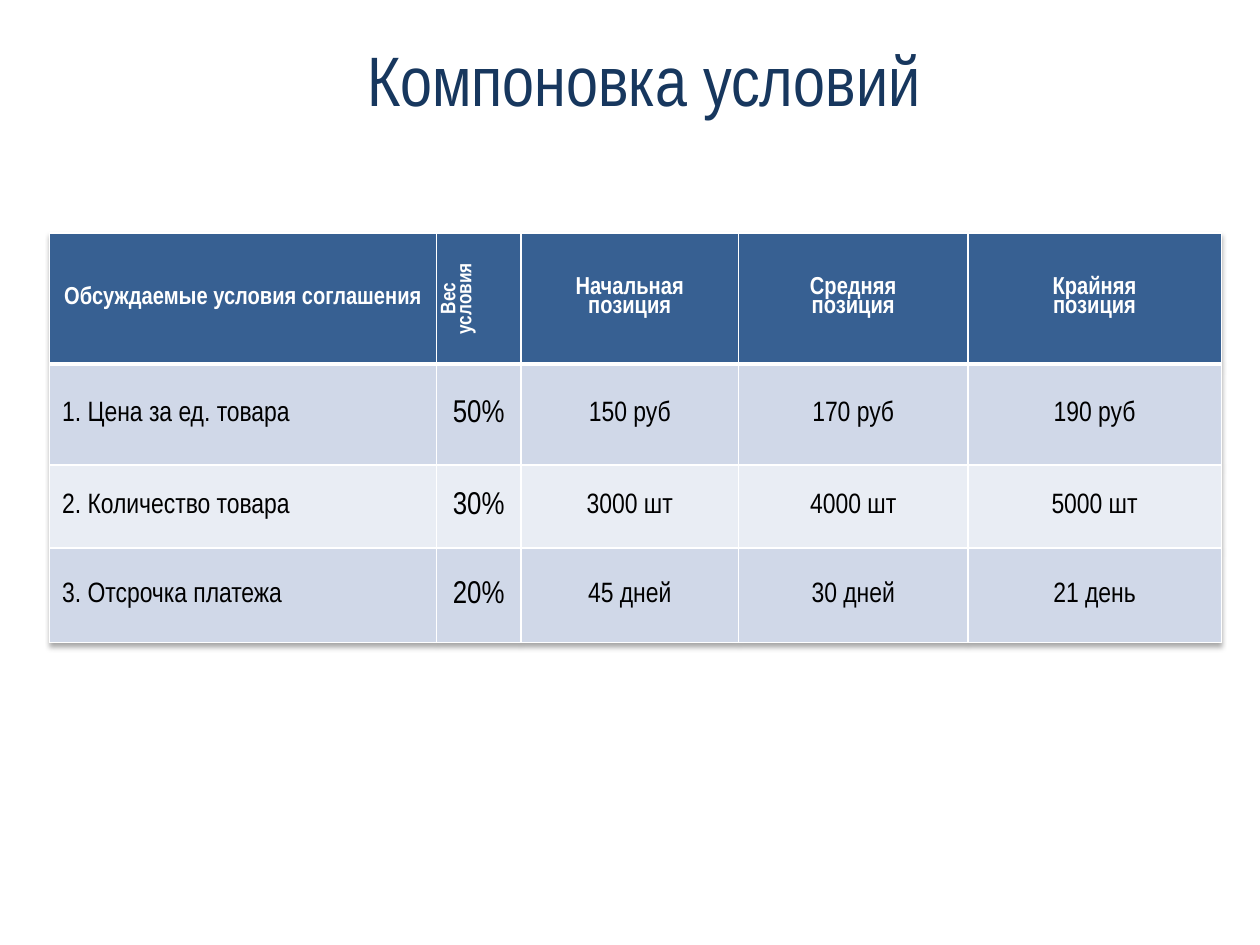
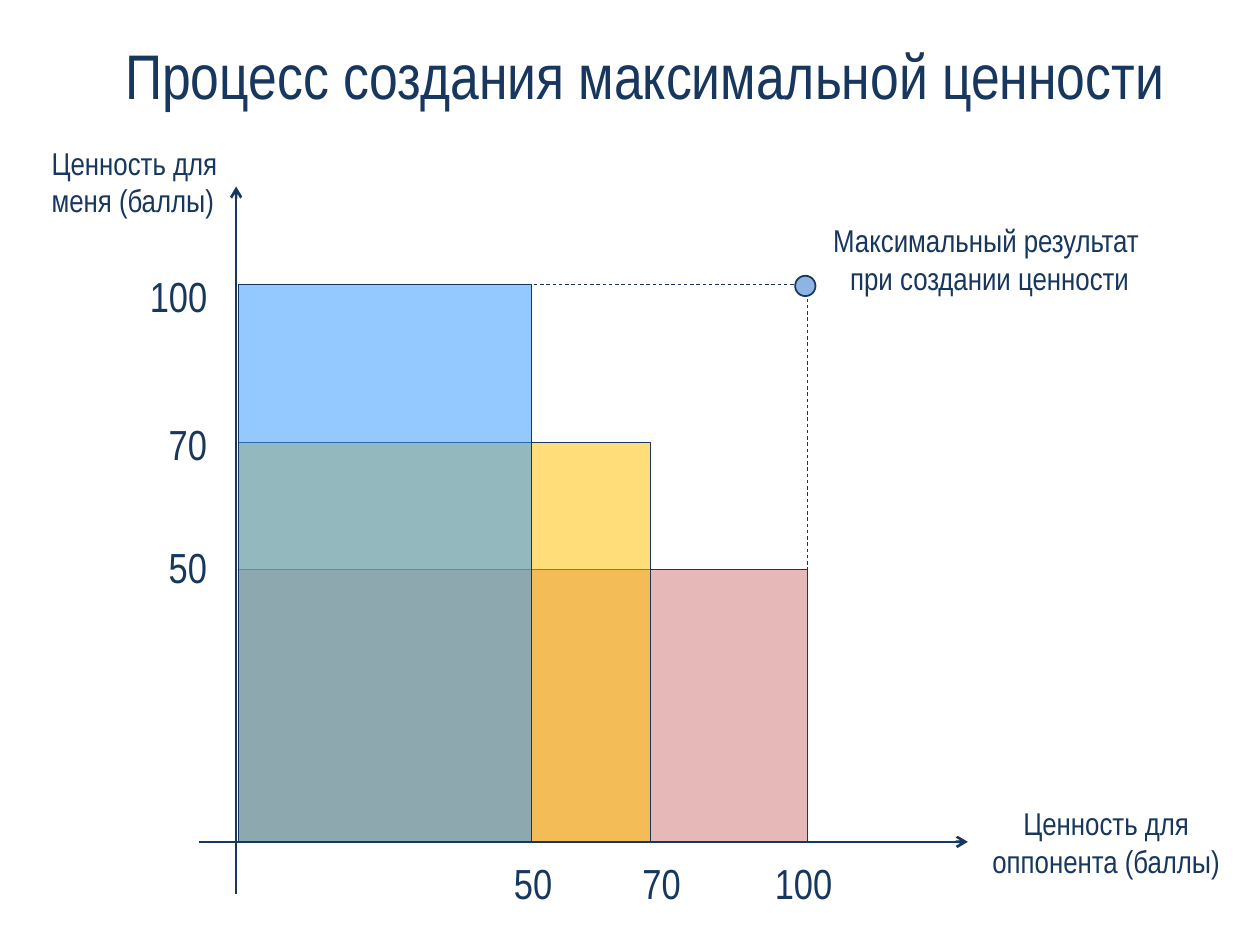
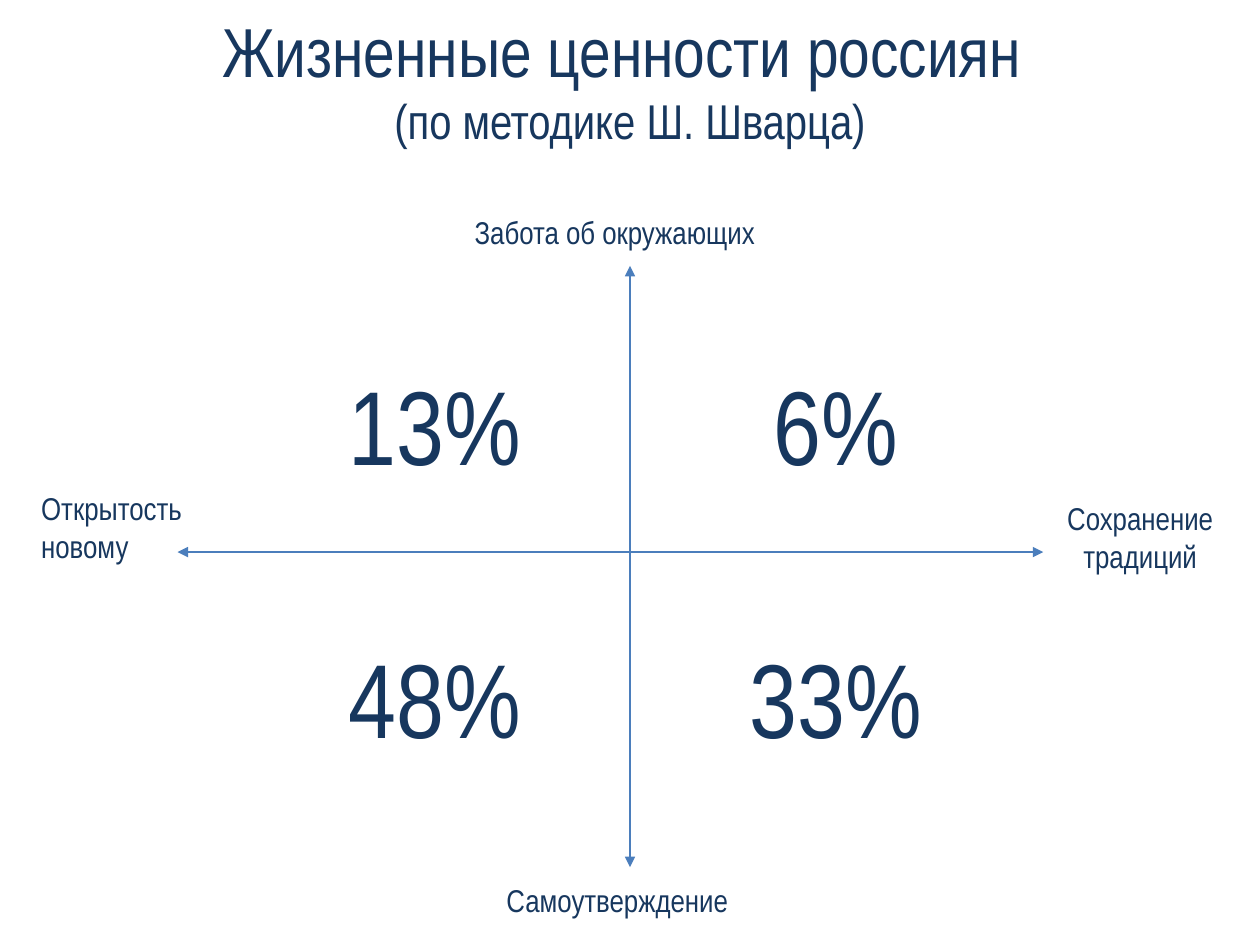
from dataclasses import dataclass

from lxml.etree import Element, SubElement
from pptx import Presentation
from pptx.dml.color import RGBColor
from pptx.enum.dml import MSO_LINE
from pptx.enum.shapes import MSO_CONNECTOR, MSO_SHAPE
from pptx.enum.text import MSO_ANCHOR, PP_ALIGN
from pptx.oxml.ns import qn
from pptx.util import Cm, Pt


@dataclass(frozen=True)
class Theme:
    """Colours, font and type sizes shared by all slides."""
    font: str = "Arial Narrow"
    ink: str = "17375E"
    header: str = "376092"
    bands: tuple = ("D0D8E8", "E9EDF4")
    white: str = "FFFFFF"
    black: str = "000000"
    rose: str = "E6B9B8"
    amber: str = "FFC000"
    sky: str = "3399FF"
    dot: str = "8EB4E3"
    axis: str = "4B7EBC"
    title: float = 40
    long_title: float = 36
    two_line_title: tuple = (39.6, 27.9)
    label: float = 18
    tick: float = 24
    share: float = 60
    table_header: float = 14
    table_narrow: float = 12
    table_body: float = 16


@dataclass(frozen=True)
class Box:
    """A rectangle in centimetres."""
    left: float
    top: float
    width: float
    height: float

    def inner(self, left, top, width, height):
        """Return a box placed relative to this one."""
        return Box(self.left + left, self.top + top, width, height)

    @property
    def lengths(self):
        """Return left, top, width and height as lengths."""
        return [Cm(value) for value in (self.left, self.top, self.width, self.height)]


THEME = Theme()


def set_attributes(target, formats):
    """Set every attribute in the dict on the target."""
    for name, value in formats.items():
        setattr(target, name, value)


def write(text_frame, text, sizes, color=THEME.ink, bold=False, **paragraph_formats):
    """Write one paragraph per line; a vertical tab breaks inside it, with its own size."""
    for index, line in enumerate(text.split("\n")):
        paragraph = text_frame.paragraphs[0] if index == 0 else text_frame.add_paragraph()
        set_attributes(paragraph, paragraph_formats)
        for piece_index, piece in enumerate(line.split("\v")):
            if piece_index:
                paragraph.add_line_break()
            run = paragraph.add_run()
            run.text = piece
            size = Pt(sizes[min(piece_index, len(sizes) - 1)])
            set_attributes(run.font, {"name": THEME.font, "size": size, "bold": bold})
            run.font.color.rgb = RGBColor.from_string(color)


def add_text(slide, box, text, *sizes, wrap=False, anchor=MSO_ANCHOR.TOP, align=PP_ALIGN.LEFT):
    """Add a text box."""
    text_frame = slide.shapes.add_textbox(*box.lengths).text_frame
    set_attributes(text_frame, {"word_wrap": wrap, "vertical_anchor": anchor})
    write(text_frame, text, sizes, alignment=align)


def add_title(slide, box, text, *sizes):
    """Add the centred slide title."""
    add_text(slide, box, text, *sizes, wrap=True,
             anchor=MSO_ANCHOR.MIDDLE, align=PP_ALIGN.CENTER)


def add_figure(slide, box, preset, fill=None, opacity=100, width=0.5, dash=None):
    """Add an outlined preset shape, with a fill when a colour is given."""
    shape = slide.shapes.add_shape(preset, *box.lengths)
    shape.shadow.inherit = False
    if fill:
        shape.fill.solid()
        shape.fill.fore_color.rgb = RGBColor.from_string(fill)
        if opacity < 100:
            color = shape._element.spPr.find(qn("a:solidFill")).find(qn("a:srgbClr"))
            SubElement(color, qn("a:alpha"), val=str(opacity * 1000))
    else:
        shape.fill.background()
    shape.line.color.rgb = RGBColor.from_string(THEME.ink)
    set_attributes(shape.line, {"width": Pt(width), "dash_style": dash})


def add_axis(slide, start, end, color, width, **arrowheads):
    """Add a straight axis; arrowheads maps headEnd or tailEnd to a kind."""
    points = [Cm(value) for value in (*start, *end)]
    connector = slide.shapes.add_connector(MSO_CONNECTOR.STRAIGHT, *points)
    connector.line.color.rgb = RGBColor.from_string(color)
    connector.line.width = Pt(width)
    properties = connector._element.spPr
    for name, kind in arrowheads.items():
        SubElement(properties.find(qn("a:ln")), qn("a:" + name), type=kind)
    SubElement(properties, qn("a:effectLst"))


def add_table_shadow(table):
    """Give the table a soft shadow below it."""
    effects = Element(qn("a:effectLst"))
    shadow = SubElement(effects, qn("a:outerShdw"), blurRad="40000", dist="23000",
                        dir="5400000", rotWithShape="0")
    color = SubElement(shadow, qn("a:srgbClr"), val=THEME.black)
    SubElement(color, qn("a:alpha"), val="35000")
    table._tbl.tblPr.insert(0, effects)


def format_cell(cell, fill, bottom):
    """Give a cell white borders, a fill and middle anchoring."""
    properties = cell._tc.get_or_add_tcPr()
    for side, width in {"L": 1, "R": 1, "T": 1, "B": bottom}.items():
        border = SubElement(properties, qn("a:ln" + side), w=str(Pt(width)))
        SubElement(SubElement(border, qn("a:solidFill")), qn("a:srgbClr"), val=THEME.white)
    cell.fill.solid()
    cell.fill.fore_color.rgb = RGBColor.from_string(fill)
    cell.vertical_anchor = MSO_ANCHOR.MIDDLE


def add_terms_table(slide, box, column_widths, row_heights, rows):
    """Add the table of terms: a dark header, banded rows and a weight column."""
    table = slide.shapes.add_table(len(rows), len(rows[0]), *box.lengths).table
    add_table_shadow(table)
    for column, width in zip(table.columns, column_widths):
        column.width = Cm(width)
    for row, height in zip(table.rows, row_heights):
        row.height = Cm(height)
    for row_index, texts in enumerate(rows):
        is_header = row_index == 0
        fill = THEME.header if is_header else THEME.bands[(row_index - 1) % 2]
        for column_index, text in enumerate(texts):
            cell = table.cell(row_index, column_index)
            is_weight = column_index == 1
            format_cell(cell, fill, bottom=3 if is_header else 1)
            if is_header:
                size = THEME.table_narrow if is_weight else THEME.table_header
                write(cell.text_frame, text, [size], THEME.white, True,
                      alignment=PP_ALIGN.CENTER, line_spacing=0.8)
                if is_weight:
                    cell._tc.get_or_add_tcPr().set("vert", "vert270")
            else:
                size = THEME.label if is_weight else THEME.table_body
                align = PP_ALIGN.CENTER if column_index else PP_ALIGN.LEFT
                write(cell.text_frame, text, [size], THEME.black, alignment=align)


def add_value_plot(slide, box):
    """Draw overlapping value areas from the box's lower left corner, with axes and ticks."""
    across = {50: 5.92, 70: 8.31, 100: box.width}
    up = {50: 5.49, 70: 8.05, 100: box.height}
    areas = [(100, 100, {"dash": MSO_LINE.DASH}),
             (100, 50, {"fill": THEME.rose}),
             (70, 70, {"fill": THEME.amber, "opacity": 53}),
             (50, 100, {"fill": THEME.sky, "opacity": 53})]
    for opponent, mine, formats in areas:
        area = box.inner(0, box.height - up[mine], across[opponent], up[mine])
        add_figure(slide, area, MSO_SHAPE.RECTANGLE, **formats)

    bottom = box.top + box.height
    axis_left = box.left - 0.04
    add_axis(slide, (axis_left, bottom + 1.06), (axis_left, box.top - 1.98),
             THEME.ink, 1.5, tailEnd="arrow")
    add_axis(slide, (box.left - 0.79, bottom), (box.left + box.width + 3.23, bottom),
             THEME.ink, 1.5, tailEnd="arrow")

    # Each tick: value, middle of its label across, top of its label
    for value, middle, top in [(50, 5.96, 5.06), (70, 8.55, 2.57), (100, 11.41, -0.41)]:
        text = str(value)
        width = 0.54 + 0.38 * len(text)
        for left, label_top in [(middle - width / 2, box.height + 0.2), (-0.35 - width, top)]:
            add_text(slide, box.inner(left, label_top, width, 1.27), text, THEME.tick)

    add_figure(slide, box.inner(box.width - 0.25, -0.18, 0.41, 0.41), MSO_SHAPE.OVAL,
               fill=THEME.dot, width=1)
    add_text(slide, box.inner(box.width + 0.18, -1.4, 6.98, 1.8),
             "Максимальный результат \nпри создании ценности", THEME.label,
             align=PP_ALIGN.CENTER)
    add_text(slide, box.inner(box.width + 3.3, box.height - 0.89, 5.44, 1.8),
             "Ценность для оппонента (баллы)", THEME.label, wrap=True, align=PP_ALIGN.CENTER)
    add_text(slide, box.inner(-4.01, -2.97, 3.96, 1.8),
             "Ценность для меня (баллы)", THEME.label, wrap=True)


def add_values_cross(slide, box, shares):
    """Draw two crossing axes over the box with their end labels and a share per quadrant."""
    center_left, center_top = box.left + 9.12, box.top + 5.77
    ends = {"headEnd": "triangle", "tailEnd": "triangle"}
    add_axis(slide, (center_left, box.top + box.height), (center_left, box.top),
             THEME.axis, 0.75, **ends)
    add_axis(slide, (box.left, center_top), (box.left + box.width, center_top),
             THEME.axis, 0.75, **ends)
    labels = [("Открытость\nновому", (-3, 4.37, 3.4, 1.8), PP_ALIGN.LEFT),
              ("Сохранение\nтрадиций", (17.65, 4.57, 3.51, 1.8), PP_ALIGN.CENTER),
              ("Самоутверждение", (6.38, 12.27, 5.03, 1.02), PP_ALIGN.LEFT),
              ("Забота об окружающих", (5.74, -1.19, 6.25, 1.02), PP_ALIGN.LEFT)]
    for text, place, align in labels:
        add_text(slide, box.inner(*place), text, THEME.label, align=align)
    for row, texts in enumerate(shares):
        for column, text in enumerate(texts):
            quadrant = box.inner(3.18 + 8.08 * column, 1.78 + 5.51 * row, 4.01, 2.82)
            add_text(slide, quadrant, text, THEME.share, align=PP_ALIGN.CENTER)


def build_terms_slide(slide):
    """Build the slide with the table of terms."""
    add_terms_table(
        slide, Box(1, 4.7, 23.62, 8.25),
        [7.8, 1.7, 4.39, 4.62, 5.11], [2.64, 2.03, 1.68, 1.9],
        [["Обсуждаемые условия соглашения", "Вес\nусловия", "Начальная позиция",
          "Средняя\nпозиция", "Крайняя\nпозиция"],
         ["1. Цена за ед. товара", "50%", "150 руб", "170 руб", "190 руб"],
         ["2. Количество товара", "30%", "3000 шт", "4000 шт", "5000 шт"],
         ["3. Отсрочка платежа", "20%", "45 дней", "30 дней", "21 день"]])
    add_title(slide, Box(1.55, 0.76, 22.86, 1.63), "Компоновка условий", THEME.title)


def build_plot_slide(slide):
    """Build the slide with the value plot."""
    add_value_plot(slide, Box(4.8, 5.74, 11.48, 11.23))
    add_title(slide, Box(1.57, 0.58, 22.86, 1.83),
              "Процесс создания максимальной ценности", THEME.long_title)


def build_cross_slide(slide):
    """Build the slide with the cross of life values."""
    add_title(slide, Box(1.27, 0, 22.86, 3.18),
              "Жизненные ценности россиян \v(по методике Ш. Шварца)", *THEME.two_line_title)
    add_values_cross(slide, Box(3.58, 5.36, 17.45, 12.12), [["13%", "6%"], ["48%", "33%"]])


def main():
    """Build and save the presentation."""
    presentation = Presentation()
    set_attributes(presentation, {"slide_width": Cm(25.4), "slide_height": Cm(19.05)})
    for build in (build_terms_slide, build_plot_slide, build_cross_slide):
        build(presentation.slides.add_slide(presentation.slide_layouts[6]))
    presentation.save("out.pptx")


main()
